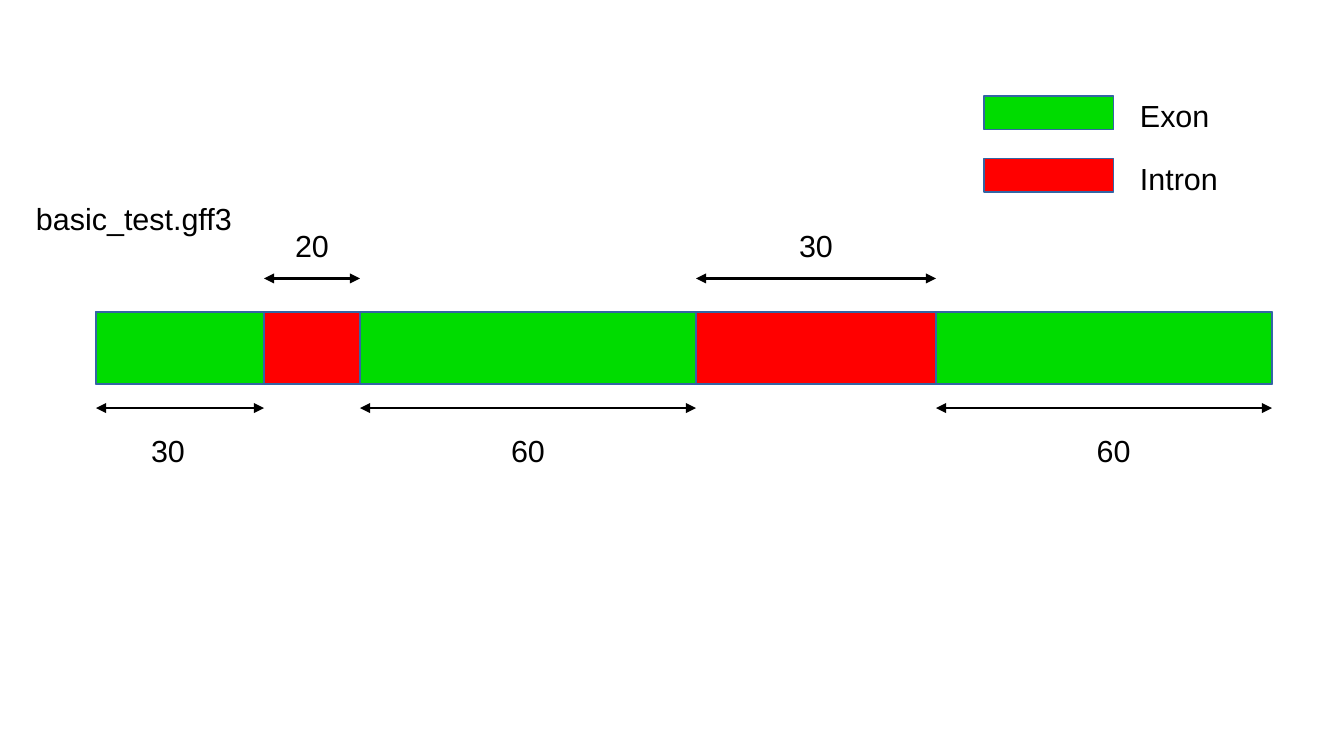
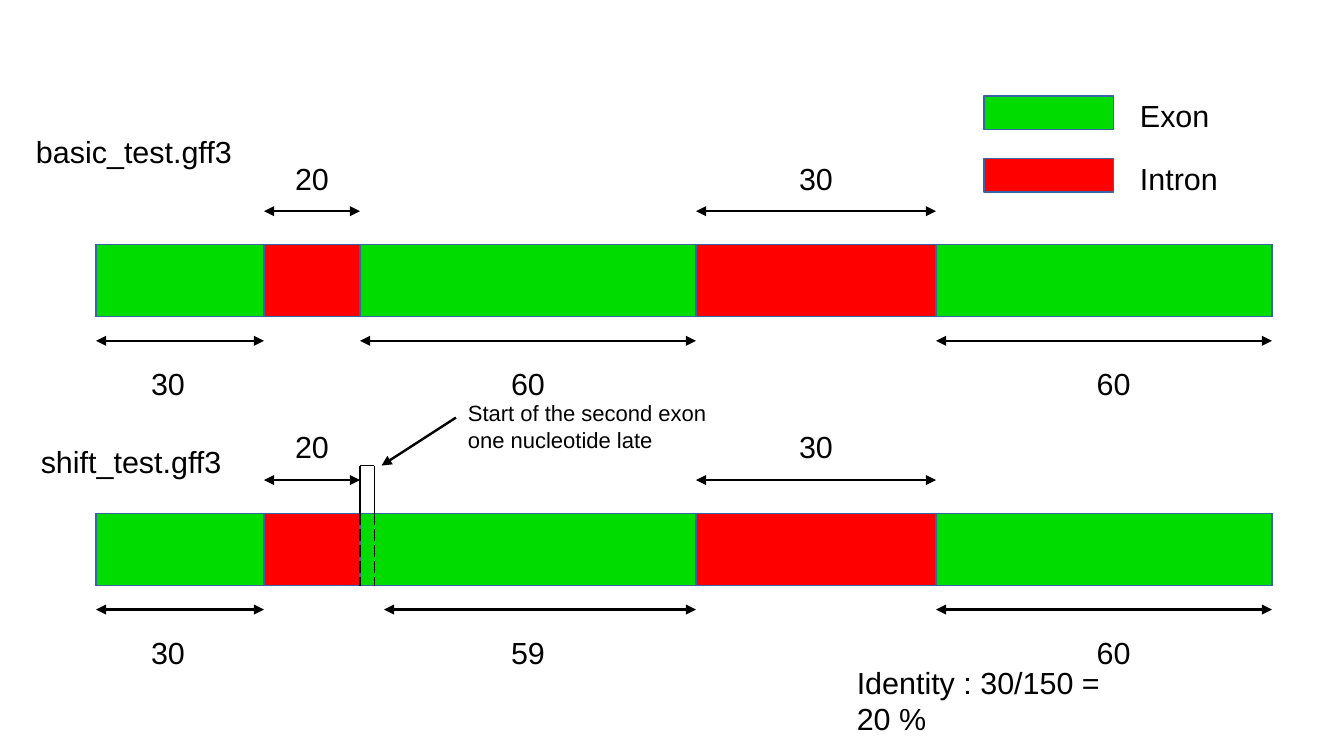
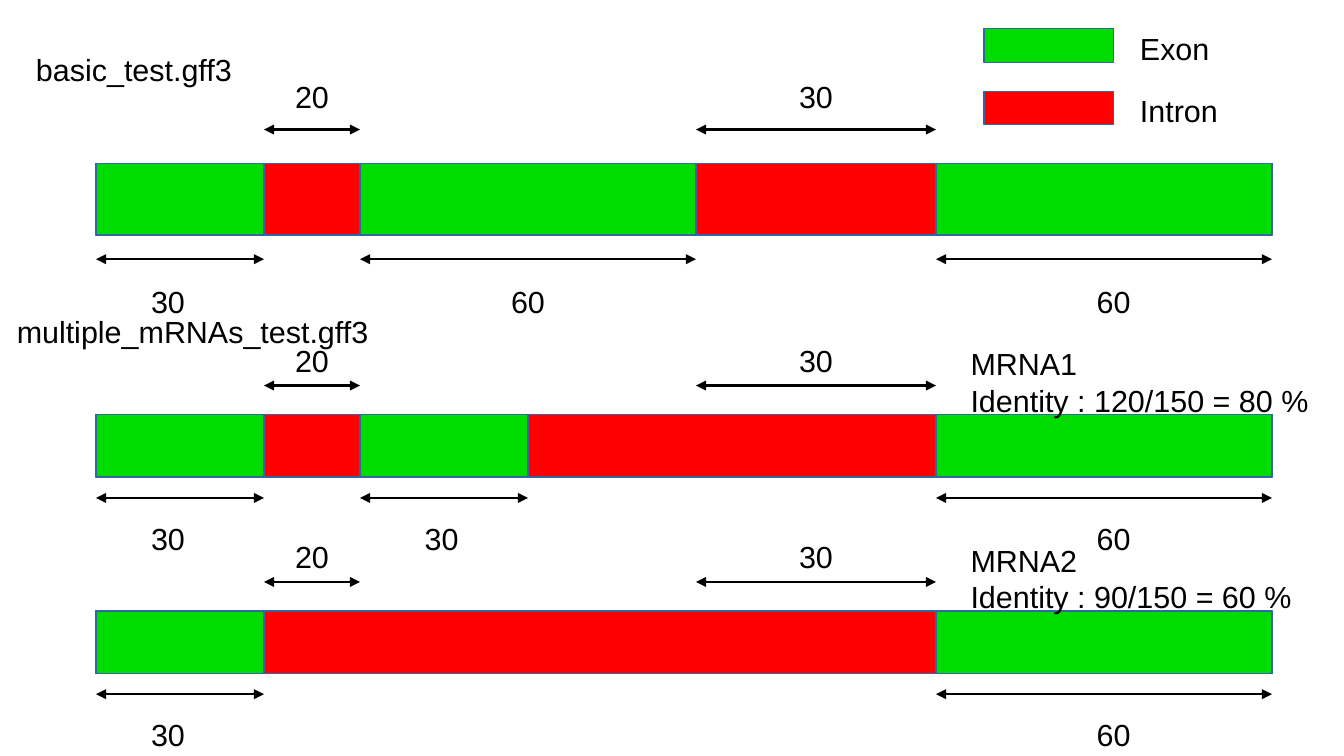
from pptx import Presentation
from pptx.dml.color import RGBColor
from pptx.enum.dml import MSO_LINE
from pptx.enum.shapes import MSO_CONNECTOR, MSO_SHAPE
from pptx.enum.text import MSO_ANCHOR, MSO_AUTO_SIZE, PP_ALIGN
from pptx.oxml.ns import qn
from pptx.util import Cm, Pt
from lxml.etree import SubElement

# Shared look
FONT = "Arial"
EXON, INTRON, EDGE, INK = "00DC00", "FF0000", "3465A4", "000000"
LEFT, WIDE, TALL, LOW = 2, 24.5, 1.5, 1.3

# Track parts, in cm from the left end of the bar: (start, width)
FIRST, SECOND, HALF, LAST = (0, 3.5), (5.5, 7), (5.5, 3.5), (17.5, 7)

# Measures, in cm from the left end of the bar: (start, end, label centre, label)
OVER = [(3.5, 5.5, 4.5, "20"), (12.5, 17.5, 15, "30")]
HEAD = (0, 3.5, 1.5, "30")
TAIL = (17.5, 24.5, 21.2, "60")
FULL = (5.5, 12.5, 9, "60")
LATE = (6, 12.5, 9, "59")
PART = (5.5, 9, 7.2, "30")


def paint(code):
    return RGBColor.from_string(code)


def block(slide, x, y, w, h, color):
    shape = slide.shapes.add_shape(MSO_SHAPE.RECTANGLE, Cm(x), Cm(y), Cm(w), Cm(h))
    shape.shadow.inherit = False
    shape.fill.solid()
    shape.fill.fore_color.rgb = paint(color)
    shape.line.color.rgb = paint(EDGE)
    shape.line.width = Pt(0)


def label(slide, x, y, w, lines, h=0.96, size=18, align=PP_ALIGN.LEFT):
    frame = slide.shapes.add_textbox(Cm(x), Cm(y), Cm(w), Cm(h)).text_frame
    frame.word_wrap = True
    frame.auto_size = MSO_AUTO_SIZE.SHAPE_TO_FIT_TEXT
    frame.vertical_anchor = MSO_ANCHOR.TOP
    for i, text in enumerate(lines):
        para = frame.add_paragraph() if i else frame.paragraphs[0]
        para.alignment = align
        run = para.add_run()
        run.text = text
        run.font.name = FONT
        run.font.size = Pt(size)
        run.font.color.rgb = paint(INK)


def line(slide, start, end, width=1.42, ends=(), dash=None):
    link = slide.shapes.add_connector(
        MSO_CONNECTOR.STRAIGHT, *(Cm(v) for v in (*start, *end)))
    link.line.color.rgb = paint(INK)
    link.line.width = Pt(width)
    if dash:
        link.line.dash_style = dash
    props = link._element.spPr
    for end_tag in ends:
        SubElement(props.find(qn("a:ln")), qn(end_tag), type="triangle")
    SubElement(props, qn("a:effectLst"))


def measure(slide, x, y, text_y, span):
    start, end, mid, text = span
    line(slide, (x + start, y), (x + end, y), ends=("a:headEnd", "a:tailEnd"))
    label(slide, x + mid - 1.5, text_y, 3, [text], align=PP_ALIGN.CENTER)


def track(slide, y, exons, under, h=TALL, x=LEFT):
    """Intron bar with exons on it; gaps around it scale with its height."""
    k = h / TALL
    block(slide, x, y, WIDE, h, INTRON)
    for start, width in exons:
        block(slide, x + start, y, width, h, EXON)
    for span in OVER:
        measure(slide, x, y - 0.7 * k, y - 1.9 * k, span)
    for span in under:
        measure(slide, x, y + h + 0.5 * k, y + h + 0.88 * k, span)


def basic(slide, y):
    track(slide, y, [FIRST, SECOND, LAST], [HEAD, FULL, TAIL])
    label(slide, 0.5, y - 2.46, 7.5, ["basic_test.gff3"])


def legend(slide, y, x=20.5):
    for i, (name, color) in enumerate([("Exon", EXON), ("Intron", INTRON)]):
        top = y + 1.3 * i
        block(slide, x, top, 2.7, 0.7, color)
        label(slide, x + 3, top - 0.1, 2.5, [name])


def shift(slide, x, y):
    """Marks the missing nucleotide at x on the bar whose top is y."""
    right, top = x + 0.3, y - 1
    line(slide, (x, top), (right, top), 0.85)
    for side in (x, right):
        line(slide, (side, top), (side, y), 0.85)
        line(slide, (side, y), (side, y + TALL), 0.85, dash=MSO_LINE.LONG_DASH)
    line(slide, (x + 0.45, top), (x + 2, top - 1), ends=("a:headEnd",))
    label(slide, x + 2, y - 2.5, 5.5,
          ["Start of the second exon one nucleotide late"], h=1.78, size=13)


def mrna(slide, y, exons, under, lines):
    track(slide, y, exons, under, LOW)
    label(slide, 19.97, y - 1.57, 7.9, lines, h=1.68)


def main():
    deck = Presentation()
    deck.slide_width, deck.slide_height = Cm(28), Cm(15.75)
    one, two, three = (deck.slides.add_slide(deck.slide_layouts[6]) for _ in range(3))

    # Reference annotation
    basic(one, 6.5)
    legend(one, 2)

    # Shifted exon
    track(two, 10.7, [FIRST, SECOND, LAST], [HEAD, LATE, TAIL])
    label(two, 0.6, 9.1, 7.5, ["shift_test.gff3"])
    legend(two, 2)
    label(two, 17.6, 13.7, 6, ["Identity : 30/150 = 20 %"], h=1.68)
    shift(two, 7.5, 10.7)
    basic(two, 5.1)

    # Several mRNAs
    mrna(three, 8.64, [FIRST, HALF, LAST], [HEAD, PART, TAIL],
         ["MRNA1", "Identity : 120/150 = 80 %"])
    label(three, 0.1, 6.4, 8, ["multiple_mRNAs_test.gff3"])
    legend(three, 0.6)
    basic(three, 3.4)
    mrna(three, 12.73, [FIRST, LAST], [HEAD, TAIL],
         ["MRNA2", "Identity : 90/150 = 60 %"])

    deck.save("out.pptx")


if __name__ == "__main__":
    main()
